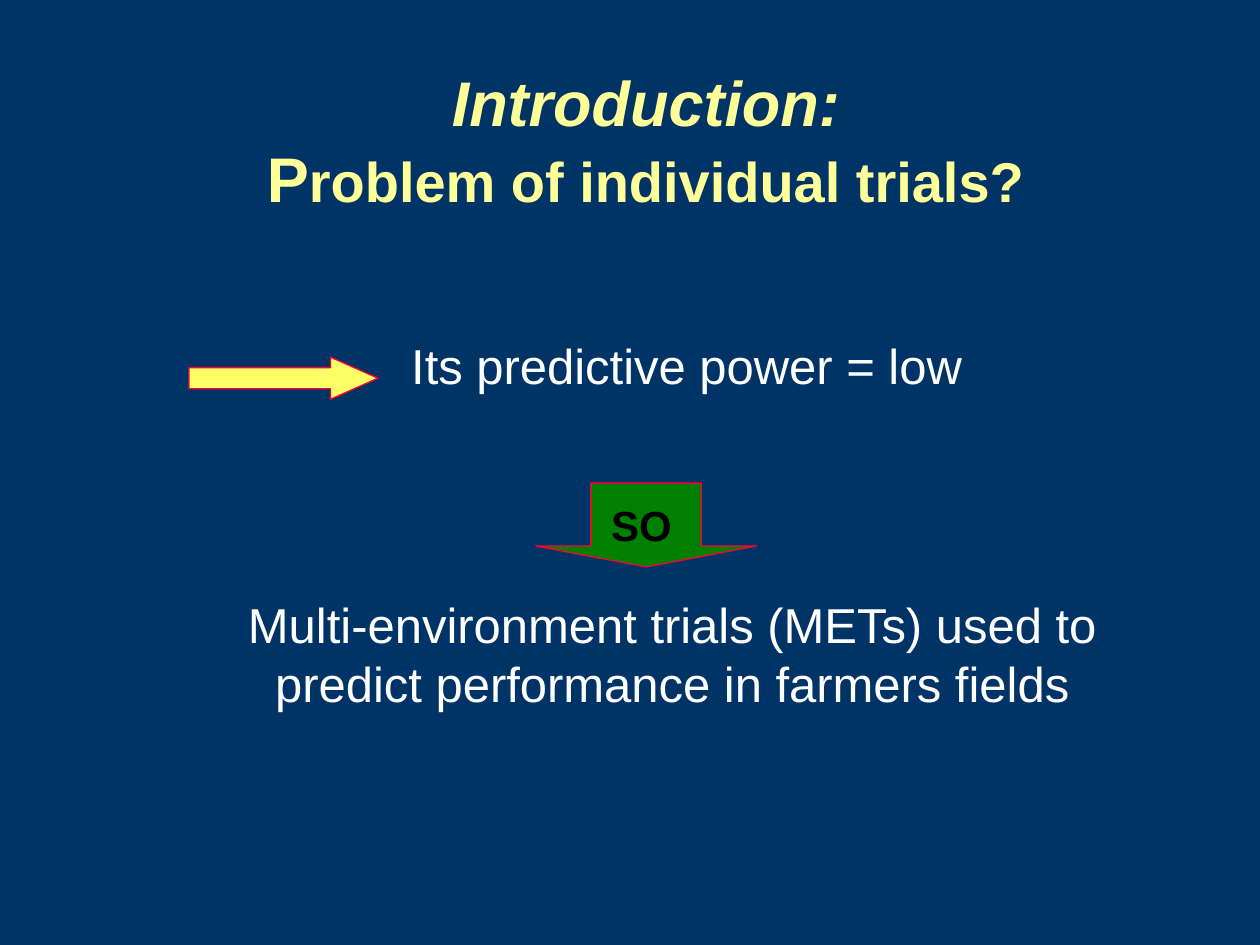
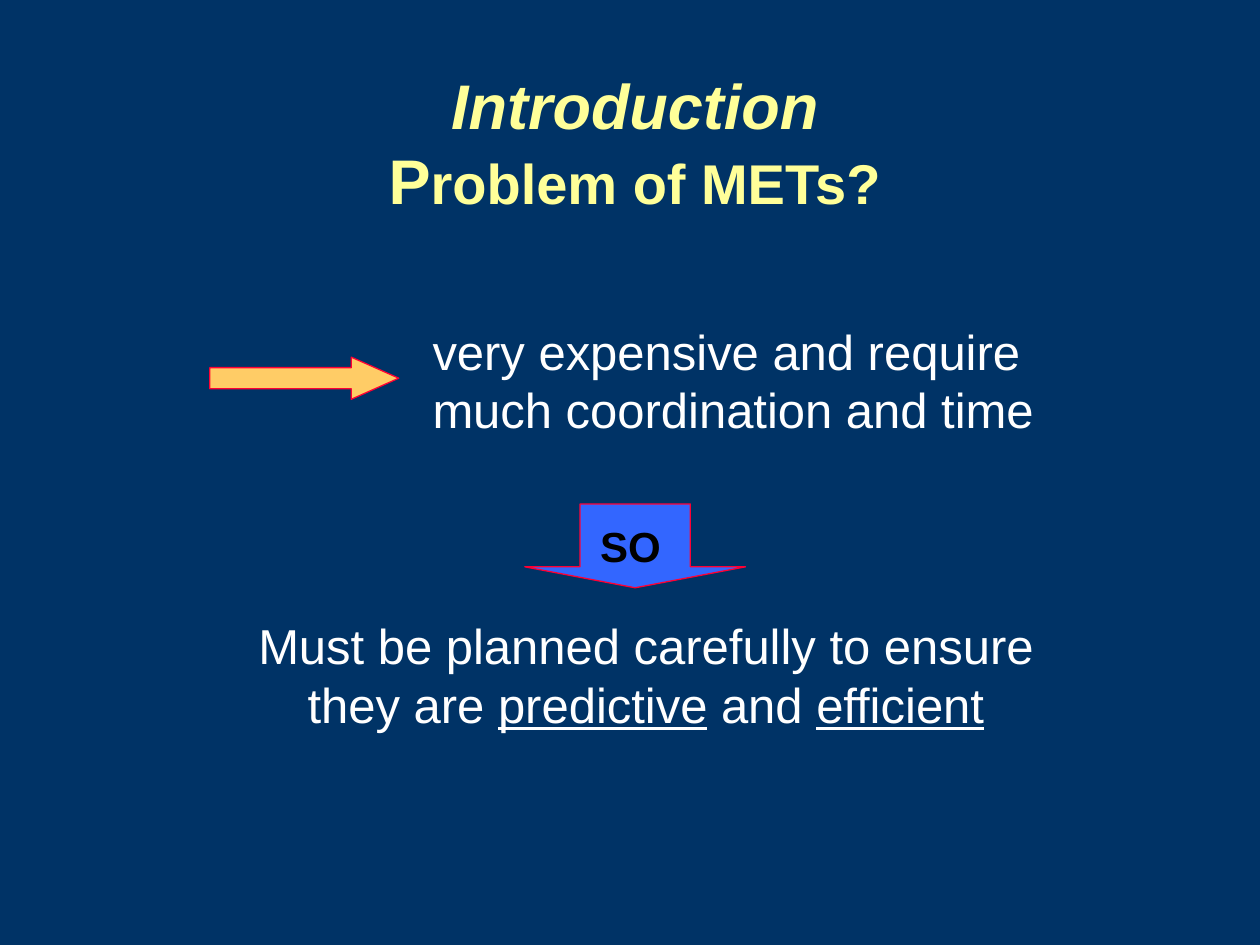
from dataclasses import dataclass

from pptx import Presentation
from pptx.dml.color import RGBColor
from pptx.enum.shapes import MSO_SHAPE
from pptx.enum.text import MSO_ANCHOR, PP_ALIGN
from pptx.util import Cm, Pt

RIGHT_ARROW, DOWN_ARROW = MSO_SHAPE.RIGHT_ARROW, MSO_SHAPE.DOWN_ARROW
RECTANGLE = MSO_SHAPE.RECTANGLE
LEFT, CENTER = PP_ALIGN.LEFT, PP_ALIGN.CENTER
TOP, MIDDLE = MSO_ANCHOR.TOP, MSO_ANCHOR.MIDDLE


@dataclass(frozen=True)
class Theme:
    font: str = "Arial"
    background: str = "003366"
    title: str = "FFFF99"
    body: str = "FFFFFF"
    label: str = "000000"
    outline: str = "FF0033"
    heading_size: int = 36
    subtitle_size: int = 32
    body_size: int = 28
    label_size: int = 24
    outline_width: float = 0.75


THEME = Theme()
BODY = {"size": Pt(THEME.body_size)}
UNDERLINED = {**BODY, "underline": True}
HEADING = {"size": Pt(THEME.heading_size), "bold": True}
SUBTITLE = {"size": Pt(THEME.subtitle_size), "bold": True}
LABEL = {"size": Pt(THEME.label_size), "bold": True}

# Boxes are (left, top, width, height) in cm; arrow corners are (left, top).
SLIDES = [
    {
        "heading": "Introduction:",
        "subtitle": "Problem of individual trials?",
        "title_box": (3.6, 1.22, 18.85, 3.18),
        "problem": "Its predictive power = low",
        "problem_box": (8.04, 6.77, 15.03, 1.32),
        "problem_spacing": 0.9,
        "pointer_at": (3.81, 7.2),
        "pointer_fill": "FFFF66",
        "so_at": (10.8, 9.74),
        "so_fill": "008000",
        "conclusion": [
            ("Multi-environment trials (METs) used to predict performance "
             "in farmers fields", BODY),
        ],
        "conclusion_box": (4.45, 11.86, 18.2, 4.45),
    },
    {
        "heading": "Introduction",
        "subtitle": "Problem of METs?",
        "title_box": (1.9, 1.27, 21.8, 3.18),
        "problem": "very expensive and require much coordination and time",
        "problem_box": (8.47, 6.35, 12.7, 2.64),
        "problem_spacing": 1.0,
        "pointer_at": (4.23, 7.2),
        "pointer_fill": "FFCC66",
        "so_at": (10.58, 10.16),
        "so_fill": "3366FF",
        "conclusion": [
            ("Must be planned carefully to ensure they are ", BODY),
            ("predictive", UNDERLINED),
            (" and ", BODY),
            ("efficient", UNDERLINED),
        ],
        "conclusion_box": (4.66, 12.28, 16.72, 3.18),
    },
]


def rgb(value):
    return RGBColor.from_string(value)


def add_run(p, text, color, formats):
    r = p.add_run()
    r.text = text
    r.font.name = THEME.font
    r.font.color.rgb = rgb(color)
    for name, value in formats.items():
        setattr(r.font, name, value)


def first_paragraph(sp, align=LEFT, anchor=TOP, **formats):
    """Prepare the text frame of a shape and return its paragraph."""
    tf = sp.text_frame
    tf.word_wrap = True
    tf.vertical_anchor = anchor
    p = tf.paragraphs[0]
    p.alignment = align
    for name, value in formats.items():
        setattr(p, name, value)
    return p


def add_text_box(s, box):
    return s.shapes.add_textbox(*map(Cm, box))


def add_block(shapes, kind, box, fill, adjustments=(), outlined=True):
    sp = shapes.add_shape(kind, *map(Cm, box))
    sp.shadow.inherit = False
    sp.fill.solid()
    sp.fill.fore_color.rgb = rgb(fill)
    for i, value in enumerate(adjustments):
        sp.adjustments[i] = value
    if outlined:
        sp.line.color.rgb = rgb(THEME.outline)
        sp.line.width = Pt(THEME.outline_width)
    else:
        sp.line.fill.background()
    return sp


def add_title(s, box, heading, subtitle):
    """Italic heading over a subtitle whose initial has the heading size."""
    p = first_paragraph(add_text_box(s, box), CENTER, MIDDLE)
    add_run(p, heading, THEME.title, {**HEADING, "italic": True})
    p.add_line_break()
    add_run(p, subtitle[0], THEME.title, HEADING)
    add_run(p, subtitle[1:], THEME.title, SUBTITLE)


def add_statement(s, box, runs, **formats):
    p = first_paragraph(add_text_box(s, box), space_before=Pt(7), **formats)
    for text, font in runs:
        add_run(p, text, THEME.body, font)


def add_pointer(s, corner, fill):
    add_block(s.shapes, RIGHT_ARROW, (*corner, 3.81, 0.85), fill, (0.5, 1.126))


def add_so_arrow(s, corner, fill):
    """Group a down arrow with the label that sits on its shaft."""
    left, top = corner
    group = s.shapes.add_group_shape()
    add_block(group.shapes, DOWN_ARROW, (left, top, 4.45, 1.69), fill, (0.5, 0.25))
    label = add_block(group.shapes, RECTANGLE, (left + 1.27, top + 0.21, 1.9, 1.27),
                      fill, outlined=False)
    p = first_paragraph(label, space_before=Pt(15))
    add_run(p, "SO", THEME.label, LABEL)


def add_problem_slide(prs, content):
    s = prs.slides.add_slide(prs.slide_layouts[6])
    add_title(s, content["title_box"], content["heading"], content["subtitle"])
    add_statement(s, content["conclusion_box"], content["conclusion"], align=CENTER)
    add_statement(s, content["problem_box"], [(content["problem"], BODY)],
                  line_spacing=content["problem_spacing"])
    add_pointer(s, content["pointer_at"], content["pointer_fill"])
    add_so_arrow(s, content["so_at"], content["so_fill"])


def main():
    prs = Presentation()
    prs.slide_width, prs.slide_height = Cm(25.4), Cm(19.05)
    background = prs.slide_master.background.fill
    background.solid()
    background.fore_color.rgb = rgb(THEME.background)
    for content in SLIDES:
        add_problem_slide(prs, content)
    prs.save("out.pptx")


if __name__ == "__main__":
    main()
